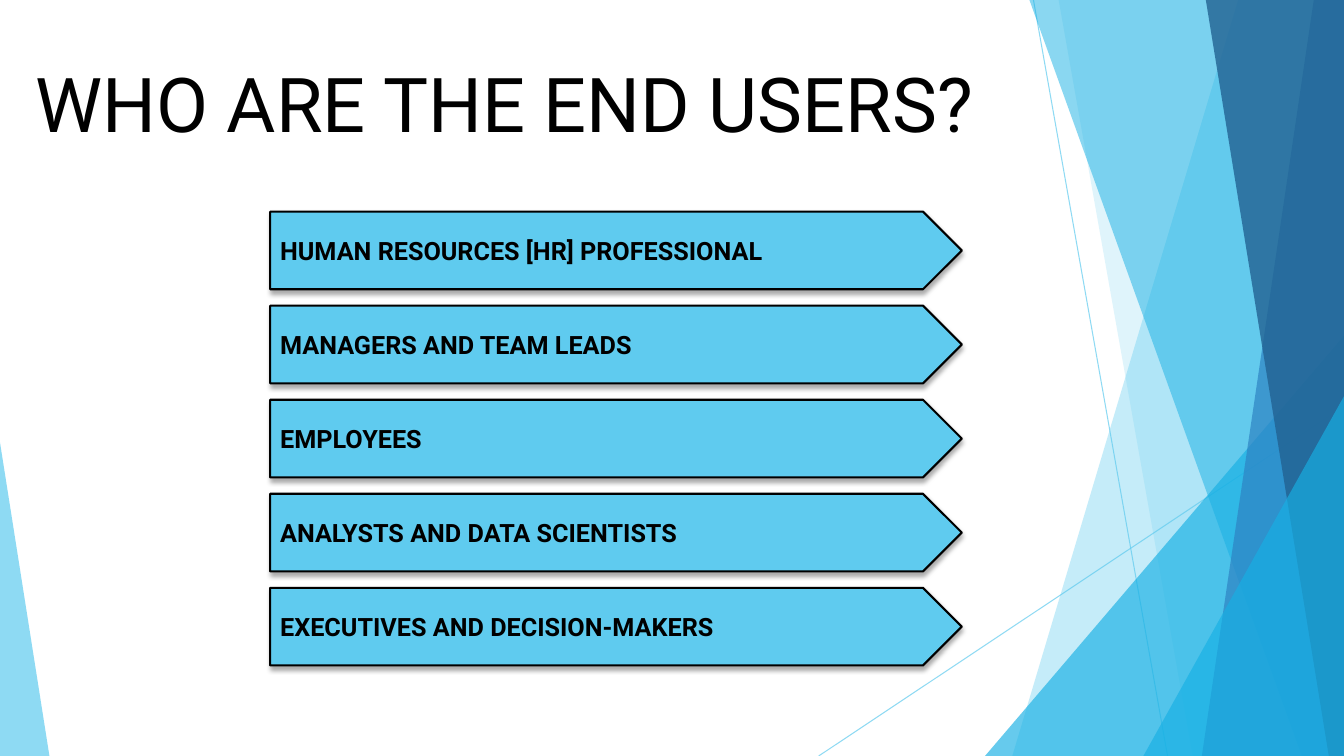
from lxml import etree
from pptx import Presentation
from pptx.dml.color import RGBColor
from pptx.enum.shapes import MSO_CONNECTOR, MSO_SHAPE
from pptx.enum.text import MSO_ANCHOR, MSO_AUTO_SIZE, PP_ALIGN
from pptx.oxml.ns import qn
from pptx.util import Inches, Pt

STRAIGHT = MSO_CONNECTOR.STRAIGHT
TRIANGLE = MSO_SHAPE.ISOSCELES_TRIANGLE
PENTAGON = MSO_SHAPE.PENTAGON
TOP, MIDDLE = MSO_ANCHOR.TOP, MSO_ANCHOR.MIDDLE
FIT_SHAPE = MSO_AUTO_SIZE.SHAPE_TO_FIT_TEXT
LEFT = PP_ALIGN.LEFT

W, H = 13.33, 7.5
FONT = "Roboto"
SKY, CYAN, BLUE, NAVY, BLACK = "5FCBEF", "17B0E4", "2E83C3", "226292", "000000"
ROW_LEFT, ROW_TOP, ROW_WIDTH, ROW_HEIGHT, ROW_PITCH = 2.68, 2.1, 6.86, 0.77, 0.933

END_USERS = [
    "HUMAN RESOURCES [HR] PROFESSIONAL",
    "MANAGERS AND TEAM LEADS",
    "EMPLOYEES",
    "ANALYSTS AND DATA SCIENTISTS",
    "EXECUTIVES AND DECISION-MAKERS",
]


def rgb(value):
    return RGBColor.from_string(value)


def set_alpha(parent, percent):
    clr = next(parent.iter(qn("a:srgbClr")))
    etree.SubElement(clr, qn("a:alpha"), val=str(percent * 1000))


def paint(sp, color, alpha):
    sp.shadow.inherit = False
    sp.fill.solid()
    sp.fill.fore_color.rgb = rgb(color)
    set_alpha(sp._element.spPr, alpha)
    sp.line.fill.background()


def add_ray(s, x1, y1, x2, y2):
    ray = s.shapes.add_connector(
        STRAIGHT, Inches(x1), Inches(y1), Inches(x2), Inches(y2))
    ray.line.color.rgb = rgb(SKY)
    ray.line.width = Pt(0.75)
    spPr = ray._element.spPr
    set_alpha(spPr, 70)
    etree.SubElement(spPr, qn("a:effectLst"))


def add_band(s, top_x, bottom_x, color, alpha):
    points = [(W, 0), (W, H), (bottom_x, H)]
    builder = s.shapes.build_freeform(Inches(top_x), 0)
    builder.add_line_segments([(Inches(x), Inches(y)) for x, y in points])
    paint(builder.convert_to_shape(), color, alpha)


def add_corner(s, left, top, right, apex, color, alpha):
    sp = s.shapes.add_shape(TRIANGLE, Inches(left), Inches(top),
                            Inches(right - left), Inches(H - top))
    sp.adjustments[0] = apex
    paint(sp, color, alpha)


def add_shadow(sp):
    sp.shadow.inherit = False
    effects = sp._element.spPr.find(qn("a:effectLst"))
    shadow = etree.SubElement(
        effects, qn("a:outerShdw"), blurRad=str(Pt(3.5)), dist=str(Pt(2.2)),
        dir="5400000", rotWithShape="0")
    etree.SubElement(shadow, qn("a:srgbClr"), val=BLACK)
    set_alpha(shadow, 32)


def write(sp, text, size, bold, anchor):
    tf = sp.text_frame
    tf.text = text
    tf.word_wrap = True
    tf.vertical_anchor = anchor
    p = tf.paragraphs[0]
    p.alignment = LEFT
    font = p.runs[0].font
    font.name, font.size, font.bold = FONT, Pt(size), bold
    font.color.rgb = rgb(BLACK)


def add_user(s, row, text):
    sp = s.shapes.add_shape(
        PENTAGON, Inches(ROW_LEFT), Inches(ROW_TOP + row * ROW_PITCH),
        Inches(ROW_WIDTH), Inches(ROW_HEIGHT))
    sp.fill.solid()
    sp.fill.fore_color.rgb = rgb(SKY)
    sp.line.color.rgb = rgb(BLACK)
    sp.line.width = Pt(1.5)
    add_shadow(sp)
    write(sp, text, 18, True, MIDDLE)


def add_title(s, text):
    title = s.shapes.title
    title.left, title.top = Inches(0.25), Inches(0.51)
    title.width, title.height = Inches(9.7), Inches(1.01)
    write(title, text, 54, False, TOP)
    title.text_frame.auto_size = FIT_SHAPE


def add_backdrop(s):
    add_ray(s, 10.25, 0, 11.58, H)
    add_ray(s, W, 4.03, 8.12, H)
    add_band(s, 12.28, 10.04, SKY, 36)
    add_band(s, 10.5, 11.83, SKY, 20)
    add_corner(s, 9.77, 3.33, W, 1, CYAN, 66)
    add_band(s, 10.21, 12.91, CYAN, 50)
    add_band(s, 13.03, 11.92, BLUE, 70)
    add_band(s, 11.96, 13.18, NAVY, 80)
    add_corner(s, 11.34, 3.93, W, 1, CYAN, 66)
    add_corner(s, 0, 4.39, 0.49, 0, SKY, 70)


def main():
    prs = Presentation()
    prs.slide_width, prs.slide_height = Inches(W), Inches(H)
    s = prs.slides.add_slide(prs.slide_layouts[5])
    add_backdrop(s)
    add_title(s, "WHO ARE THE END USERS?")
    for row, text in enumerate(END_USERS):
        add_user(s, row, text)
    prs.save("out.pptx")


if __name__ == "__main__":
    main()
